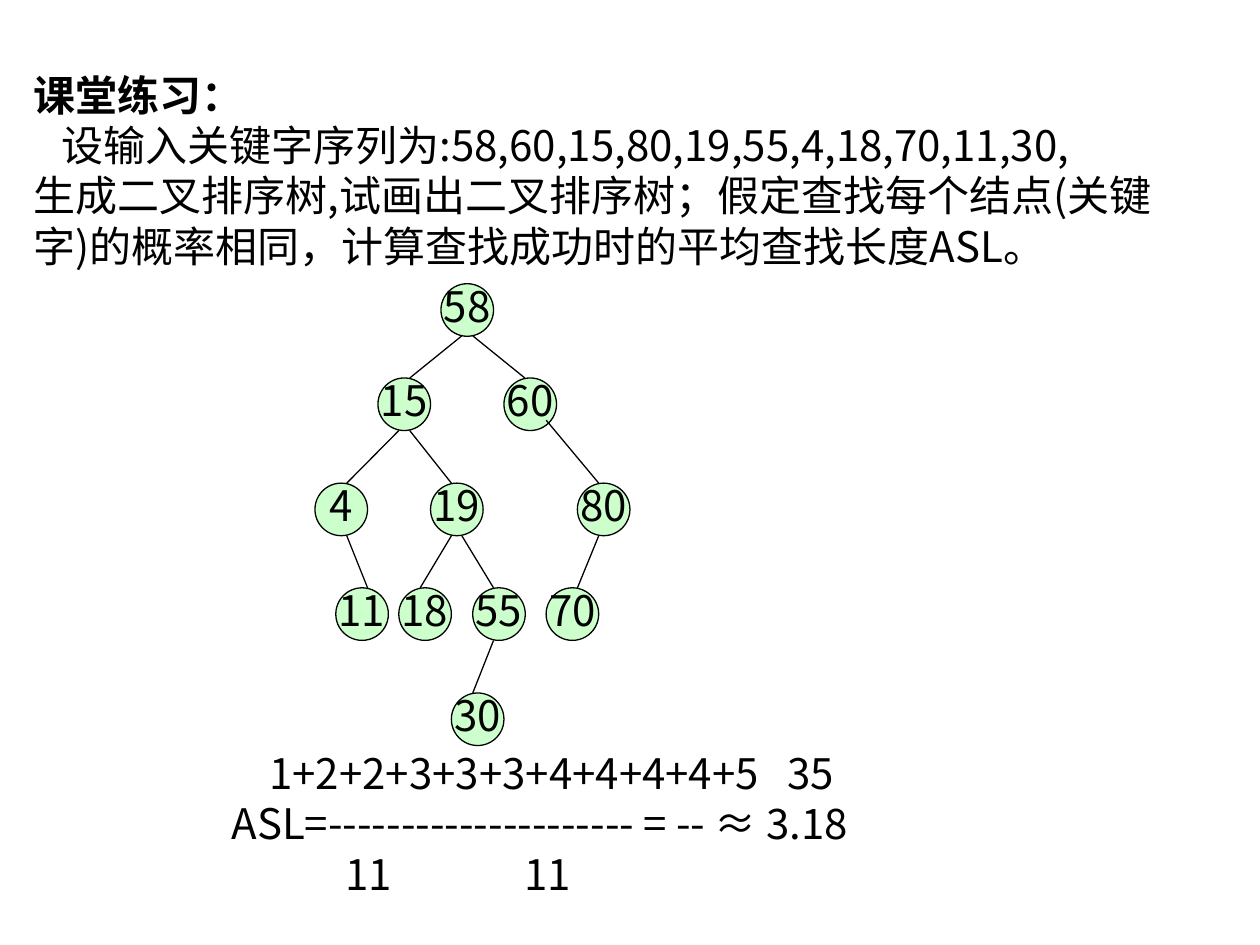
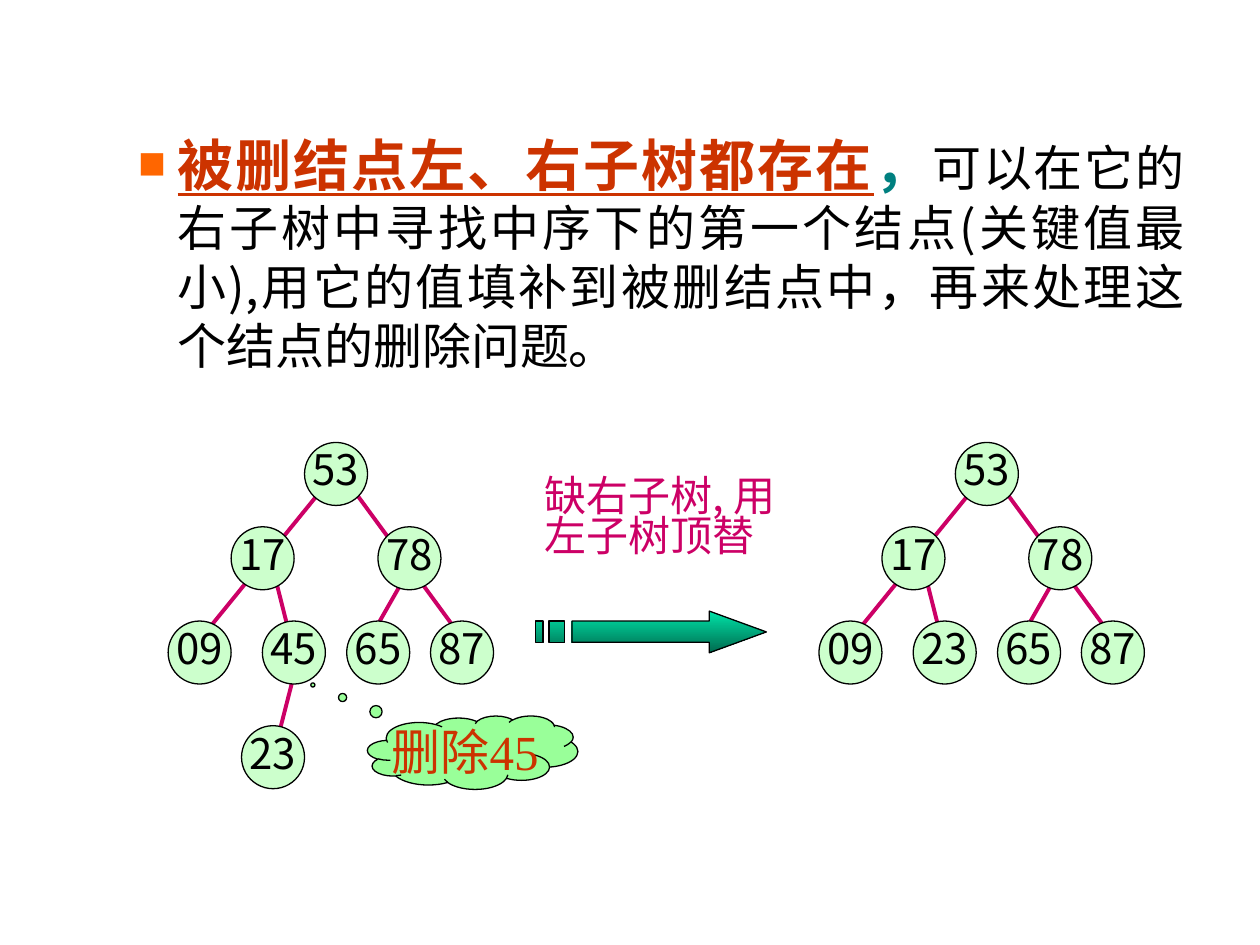
from lxml import etree
from pptx import Presentation
from pptx import util as u
from pptx.dml.color import RGBColor
from pptx.enum import shapes, text
from pptx.oxml import ns

FONT = "Noto Sans CJK SC"
BLACK = RGBColor(0x00, 0x00, 0x00)
NODE_GREEN = RGBColor(0xCC, 0xFF, 0xCC)
CLOUD_GREEN = RGBColor(0x99, 0xFF, 0x99)
ARROW_LIGHT = RGBColor(0x00, 0xE4, 0xA8)
ARROW_DARK = RGBColor(0x00, 0x6A, 0x4E)
TEAL = RGBColor(0x00, 0x80, 0x80)
RED = RGBColor(0xCC, 0x33, 0x00)
MAGENTA = RGBColor(0xCC, 0x00, 0x66)
ORANGE = "FF6600"


def format_text(shape, size, color, font=FONT):
    """Give every run of a shape the same size, colour and font."""
    for paragraph in shape.text_frame.paragraphs:
        for run in paragraph.runs:
            run.font.size = u.Pt(size)
            run.font.name = font
            run.font.color.rgb = color


def draw_tree(slide, rows, edges, diameter, edge_color, edge_width,
              shift=0, edges_behind=False):
    """Draw labelled nodes row by row, then the edges; all lengths in cm."""
    for top, nodes in rows:
        for label, left in nodes.items():
            node = slide.shapes.add_shape(
                shapes.MSO_SHAPE.OVAL, u.Cm(left + shift), u.Cm(top),
                u.Cm(diameter), u.Cm(diameter))
            node.shadow.inherit = False
            node.fill.solid()
            node.fill.fore_color.rgb = NODE_GREEN
            node.line.color.rgb = BLACK
            node.line.width = u.Pt(0.75)
            node.text_frame.text = label
            node.text_frame.word_wrap = False
            node.text_frame.vertical_anchor = text.MSO_ANCHOR.MIDDLE
            paragraph = node.text_frame.paragraphs[0]
            paragraph.alignment = text.PP_ALIGN.CENTER
            paragraph.line_spacing = 0.8
            format_text(node, 24, BLACK)
    for x1, y1, x2, y2 in edges:
        edge = slide.shapes.add_connector(
            shapes.MSO_CONNECTOR.STRAIGHT, u.Cm(x1 + shift), u.Cm(y1),
            u.Cm(x2 + shift), u.Cm(y2))
        edge.line.color.rgb = edge_color
        edge.line.width = u.Pt(edge_width)
        etree.SubElement(edge._element.spPr, ns.qn("a:effectLst"))
        if edges_behind:
            slide.shapes._spTree.insert(2, edge._element)


presentation = Presentation()
presentation.slide_width = u.Cm(25.4)
presentation.slide_height = u.Cm(19.05)
blank_layout = presentation.slide_layouts[6]

# Slide 1: exercise text
slide = presentation.slides.add_slide(blank_layout)
exercise = slide.shapes.add_textbox(u.Cm(0.43), u.Cm(1.27), u.Cm(24.13), u.Cm(4.65))
exercise.text_frame.word_wrap = True
exercise.text_frame.text = "\n".join([
    "课堂练习：",
    "设输入关键字序列为:58,60,15,80,19,55,4,18,70,11,30,",
    "生成二叉排序树,试画出二叉排序树；假定查找每个结点(关键",
    "字)的概率相同，计算查找成功时的平均查找长度ASL。",
])
format_text(exercise, 24, BLACK)
heading, sequence = exercise.text_frame.paragraphs[:2]
heading.runs[0].font.bold = True
sequence._p.get_or_add_pPr().set("marL", str(u.Cm(0.56)))

# Slide 1: binary sort tree
sort_tree_rows = [
    (5.72, {"58": 8.89}),
    (7.62, {"15": 7.62, "60": 10.16}),
    (9.74, {"4": 6.35, "19": 8.68, "80": 11.64}),
    (11.85, {"11": 6.77, "18": 8.04, "55": 9.53, "70": 11.01}),
    (13.97, {"30": 9.1}),
]
sort_tree_edges = [
    (9.31, 6.77, 8.26, 7.62),
    (9.53, 6.77, 10.58, 7.62),
    (8.04, 8.68, 6.99, 9.74),
    (8.26, 8.68, 9.1, 9.74),
    (11.01, 8.47, 12.07, 9.74),
    (6.99, 10.8, 7.41, 11.85),
    (9.1, 10.8, 8.47, 11.85),
    (9.31, 10.8, 9.95, 11.85),
    (12.07, 10.8, 11.64, 11.85),
    (9.95, 12.91, 9.53, 13.97),
]
draw_tree(slide, sort_tree_rows, sort_tree_edges, 1.06, BLACK, 0.75)

# Slide 1: average search length, with the fraction parts on tab stops
formula = slide.shapes.add_textbox(u.Cm(4.42), u.Cm(14.94), u.Cm(13.18), u.Cm(3.3))
formula.text_frame.word_wrap = True
formula_lines = [
    ("\t1+2+2+3+3+3+4+4+4+4+5\t35", (0.76, 11.2)),
    ("ASL=--------------------- = -- ≈ 3.18", ()),
    ("\t11\t11", (2.29, 5.9)),
]
formula.text_frame.text = "\n".join(line for line, stops in formula_lines)
for paragraph, (line, stops) in zip(formula.text_frame.paragraphs, formula_lines):
    if stops:
        tab_list = etree.SubElement(paragraph._p.get_or_add_pPr(), ns.qn("a:tabLst"))
        for stop in stops:
            etree.SubElement(tab_list, ns.qn("a:tab"), pos=str(u.Cm(stop)), algn="l")
format_text(formula, 24, BLACK)

# Slide 2: deletion rule
slide = presentation.slides.add_slide(blank_layout)
rule = slide.shapes.add_textbox(u.Cm(1.27), u.Cm(2.5), u.Cm(22.86), u.Cm(7.23))
rule.text_frame.word_wrap = True
paragraph = rule.text_frame.paragraphs[0]
paragraph.alignment = text.PP_ALIGN.JUSTIFY
properties = paragraph._p.get_or_add_pPr()
properties.set("marL", str(u.Cm(2.06)))
properties.set("indent", str(u.Cm(-0.79)))
bullet_color = etree.SubElement(properties, ns.qn("a:buClr"))
etree.SubElement(bullet_color, ns.qn("a:srgbClr"), val=ORANGE)
etree.SubElement(properties, ns.qn("a:buSzPct"), val="50000")
etree.SubElement(properties, ns.qn("a:buFont"), typeface=FONT)
etree.SubElement(properties, ns.qn("a:buChar"), char="■")
for words, size, color, bold, underline in [
    ("被删结点左、右子树都存在", 32, RED, True, True),
    ("，", 32, TEAL, True, False),
    ("可以在它的右子树中寻找中序下的第一个结点(关键值最小),"
     "用它的值填补到被删结点中，再来处理这个结点的删除问题。", 28, BLACK, False, False),
]:
    run = paragraph.add_run()
    run.text = words
    run.font.size = u.Pt(size)
    run.font.name = FONT
    run.font.color.rgb = color
    run.font.bold = bold
    run.font.underline = underline

# Slide 2: trees before and after the deletion
shared_rows = [
    (8.92, {"53": 6.14}),
    (10.62, {"17": 4.66, "78": 7.62}),
    (12.52, {"09": 3.39, "65": 6.99, "87": 8.68}),
]
shared_edges = [
    (5.5, 11.46, 5.93, 13.16),
    (6.56, 9.78, 3.81, 13.16),
    (8.26, 11.46, 7.41, 12.95),
    (7.2, 9.98, 9.53, 13.16),
]
before_rows = [(12.52, {"45": 5.29}), (14.63, {"23": 4.87})]
before_edges = [(5.93, 13.59, 5.5, 15.27)]
after_rows = [(12.52, {"23": 5.29})]
for extra_rows, extra_edges, shift in [
    (before_rows, before_edges, 0),
    (after_rows, [], 13.12),
]:
    draw_tree(slide, shared_rows + extra_rows, shared_edges + extra_edges,
              1.27, MAGENTA, 2.25, shift, edges_behind=True)

# Slide 2: thought cloud
cloud = slide.shapes.add_shape(
    shapes.MSO_SHAPE.CLOUD_CALLOUT, u.Cm(7.41), u.Cm(14.43), u.Cm(4.24), u.Cm(1.48))
cloud.adjustments[0] = -0.76
cloud.adjustments[1] = -0.92
cloud.shadow.inherit = False
cloud.fill.solid()
cloud.fill.fore_color.rgb = CLOUD_GREEN
cloud.line.color.rgb = BLACK
cloud.line.width = u.Pt(0.75)
cloud.text_frame.text = "删除45"
cloud.text_frame.word_wrap = False
cloud.text_frame.vertical_anchor = text.MSO_ANCHOR.MIDDLE
cloud.text_frame.paragraphs[0].alignment = text.PP_ALIGN.CENTER
format_text(cloud, 28, RED, "Times New Roman")

# Slide 2: striped arrow, one outline for the head and two for the stripes
arrow_outlines = [
    [(14.3, 12.32), (14.3, 12.52), (11.53, 12.52), (11.53, 12.95),
     (14.3, 12.95), (14.3, 13.16), (15.45, 12.74)],
]
for left, right in [(11.07, 11.38), (10.8, 10.95)]:
    arrow_outlines.append(
        [(left, 12.52), (left, 12.95), (right, 12.95), (right, 12.52)])
builder = None
for outline in arrow_outlines:
    points = [(u.Cm(x), u.Cm(y)) for x, y in outline]
    if builder is None:
        builder = slide.shapes.build_freeform(*points[0])
    else:
        builder.move_to(*points[0])
    builder.add_line_segments(points[1:], close=True)
arrow = builder.convert_to_shape()
arrow.shadow.inherit = False
arrow.fill.gradient()
arrow.fill.gradient_angle = 270
for stop, color in zip(arrow.fill.gradient_stops, (ARROW_LIGHT, ARROW_DARK)):
    stop.color.rgb = color
arrow.fill.gradient_stops[0].position = 0
arrow.fill.gradient_stops[1].position = 1
arrow.line.color.rgb = BLACK
arrow.line.width = u.Pt(0.75)

# Slide 2: caption above the arrow
caption = slide.shapes.add_textbox(u.Cm(10.72), u.Cm(9.53), u.Cm(5.38), u.Cm(2.69))
caption.text_frame.word_wrap = True
caption.text_frame.text = "缺右子树, 用左子树顶替"
caption.text_frame.paragraphs[0].line_spacing = 0.8
format_text(caption, 24, MAGENTA)

# Chinese font for all runs
for slide in presentation.slides:
    for run_properties in slide.shapes._spTree.iter(ns.qn("a:rPr")):
        etree.SubElement(run_properties, ns.qn("a:ea"), typeface=FONT)

presentation.save("out.pptx")
